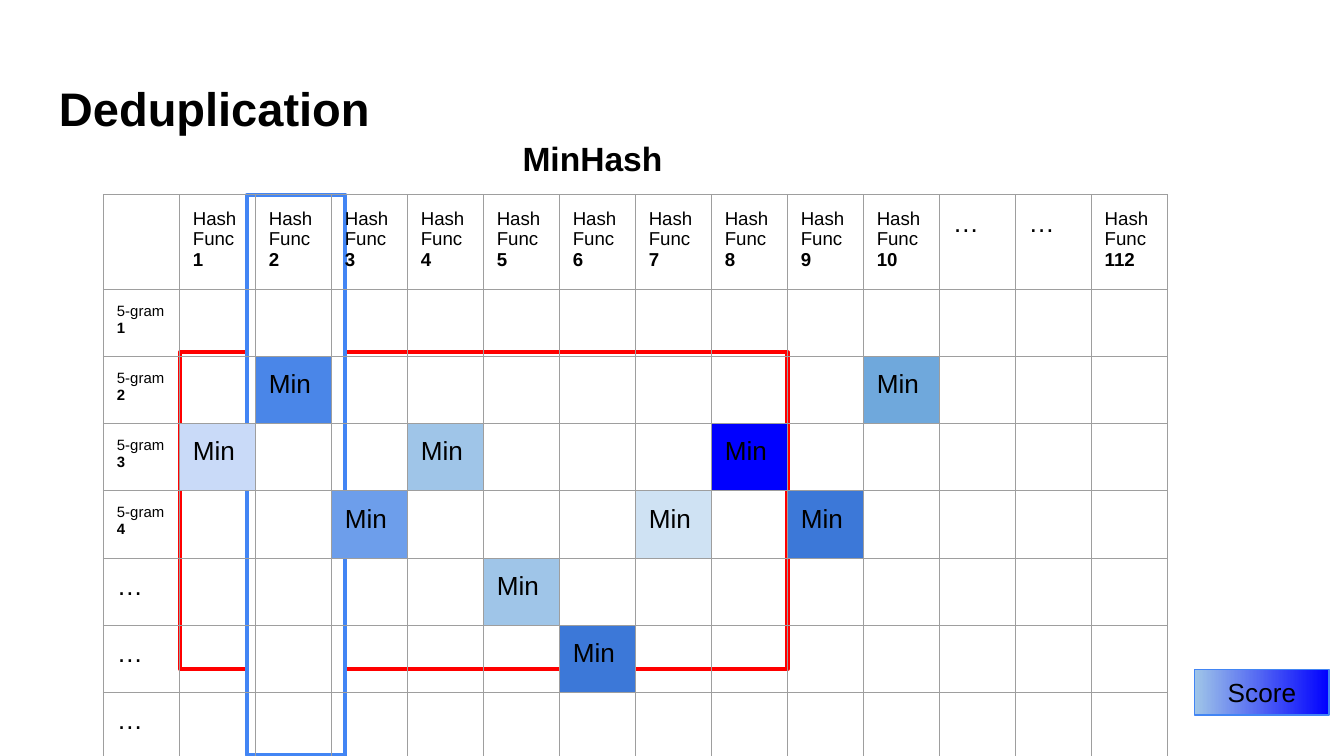
from lxml import etree
from pptx import Presentation
from pptx.dml import color
from pptx.enum import shapes, text
from pptx.oxml import ns
from pptx.util import Inches, Pt

THEME = {
    "font": "Arial", "ink": "000000", "paper": "FFFFFF", "grid": "9E9E9E",
    "band": "FF0000", "hash": "4285F4", "low": "9FC5E8", "high": "0000FF",
    "title": 25.2, "head": 18, "body": 14, "func": 10, "gram": 8,
}
DOTS = [("…", "body", False)]
HEADS = [[]]
HEADS += [[("Hash Func ", "func", False), (str(n), "func", True)] for n in range(1, 11)]
HEADS += [DOTS, DOTS, [("Hash Func ", "func", False), ("112", "func", True)]]
GRAMS = [[("5-gram ", "gram", False), (str(n), "gram", True)] for n in range(1, 5)]
GRAMS += [DOTS] * 3
MINS = {
    (2, 2): "4A86E8", (2, 10): "6FA8DC",
    (3, 1): "C9DAF8", (3, 4): "9FC5E8", (3, 8): "0000FF",
    (4, 3): "6D9EEB", (4, 7): "CFE2F3", (4, 9): "3C78D8",
    (5, 5): "9FC5E8", (6, 6): "3C78D8",
}
FRAMES = [((1.34, 2.62, 4.52, 2.36), "band"), ((1.84, 1.45, 0.73, 4.17), "hash")]
LABELS = [
    ((0.34, 0.49, 9.32, 0.63), "Deduplication", "title"),
    ((3.79, 0.93, 6.73, 0.47), "MinHash", "head"),
]
GRID = (0.77, 1.45, 3.28, 3.28)
SPAN, ROW = 7.92, 0.42
SCORE = (8.89, 4.98, 1, 0.34)


def rgb(key):
    return color.RGBColor.from_string(THEME.get(key, key))


def write(frame, runs, align=None):
    frame.word_wrap = True
    para = frame.paragraphs[0]
    para.alignment = align
    for words, size, bold in runs:
        run = para.add_run()
        run.text = words
        run.font.name = THEME["font"]
        run.font.size = Pt(THEME[size])
        run.font.bold = bold
        run.font.color.rgb = rgb("ink")


def pad(frame):
    frame.margin_left = frame.margin_right = Inches(0.1)
    frame.margin_top = frame.margin_bottom = Inches(0.1)


def box(slide, at, line, width):
    rect = slide.shapes.add_shape(shapes.MSO_SHAPE.RECTANGLE, *map(Inches, at))
    rect.shadow.inherit = False
    rect.line.color.rgb = rgb(line)
    rect.line.width = Pt(width)
    return rect


def border(cell):
    props = cell._tc.get_or_add_tcPr()
    for spot, side in enumerate(("lnL", "lnR", "lnT", "lnB")):
        line = etree.Element(ns.qn("a:" + side), w=str(Pt(0.75)))
        fill = etree.SubElement(line, ns.qn("a:solidFill"))
        etree.SubElement(fill, ns.qn("a:srgbClr"), val=THEME["grid"])
        props.insert(spot, line)


def label(slide, at, words, size):
    area = slide.shapes.add_textbox(*map(Inches, at))
    pad(area.text_frame)
    write(area.text_frame, [(words, size, True)])


def hashes(slide):
    rows, cols = len(GRAMS) + 1, len(HEADS)
    frame = slide.shapes.add_table(rows, cols, *map(Inches, GRID))
    table = frame.table
    table.first_row = table.horz_banding = False
    for col in table.columns:
        col.width = Inches(SPAN / cols)
    for r, row in enumerate(table.rows):
        row.height = Inches(ROW)
        for c, cell in enumerate(row.cells):
            shade = MINS.get((r, c))
            if r == 0:
                runs = HEADS[c]
            elif c == 0:
                runs = GRAMS[r - 1]
            else:
                runs = [("Min", "body", False)] if shade else []
            pad(cell)
            write(cell.text_frame, runs)
            if shade:
                cell.fill.solid()
                cell.fill.fore_color.rgb = rgb(shade)
            else:
                cell.fill.background()
            border(cell)
    frame.width, frame.height = map(Inches, GRID[2:])


def score(slide):
    key = box(slide, SCORE, "hash", 0.75)
    key.fill.gradient()
    key.fill.gradient_angle = 0
    for stop, tone, place in zip(key.fill.gradient_stops, ("low", "high"), (0, 1)):
        stop.color.rgb = rgb(tone)
        stop.position = place
    pad(key.text_frame)
    key.text_frame.vertical_anchor = text.MSO_ANCHOR.MIDDLE
    write(key.text_frame, [("Score", "body", False)], text.PP_ALIGN.CENTER)


def main():
    deck = Presentation()
    deck.slide_width = Inches(10)
    deck.slide_height = deck.slide_width * 9 // 16
    slide = deck.slides.add_slide(deck.slide_layouts[6])
    for at, line in FRAMES:
        frame = box(slide, at, line, 2.25)
        frame.fill.solid()
        frame.fill.fore_color.rgb = rgb("paper")
    label(slide, *LABELS[0])
    hashes(slide)
    label(slide, *LABELS[1])
    score(slide)
    deck.save("out.pptx")


if __name__ == "__main__":
    main()
